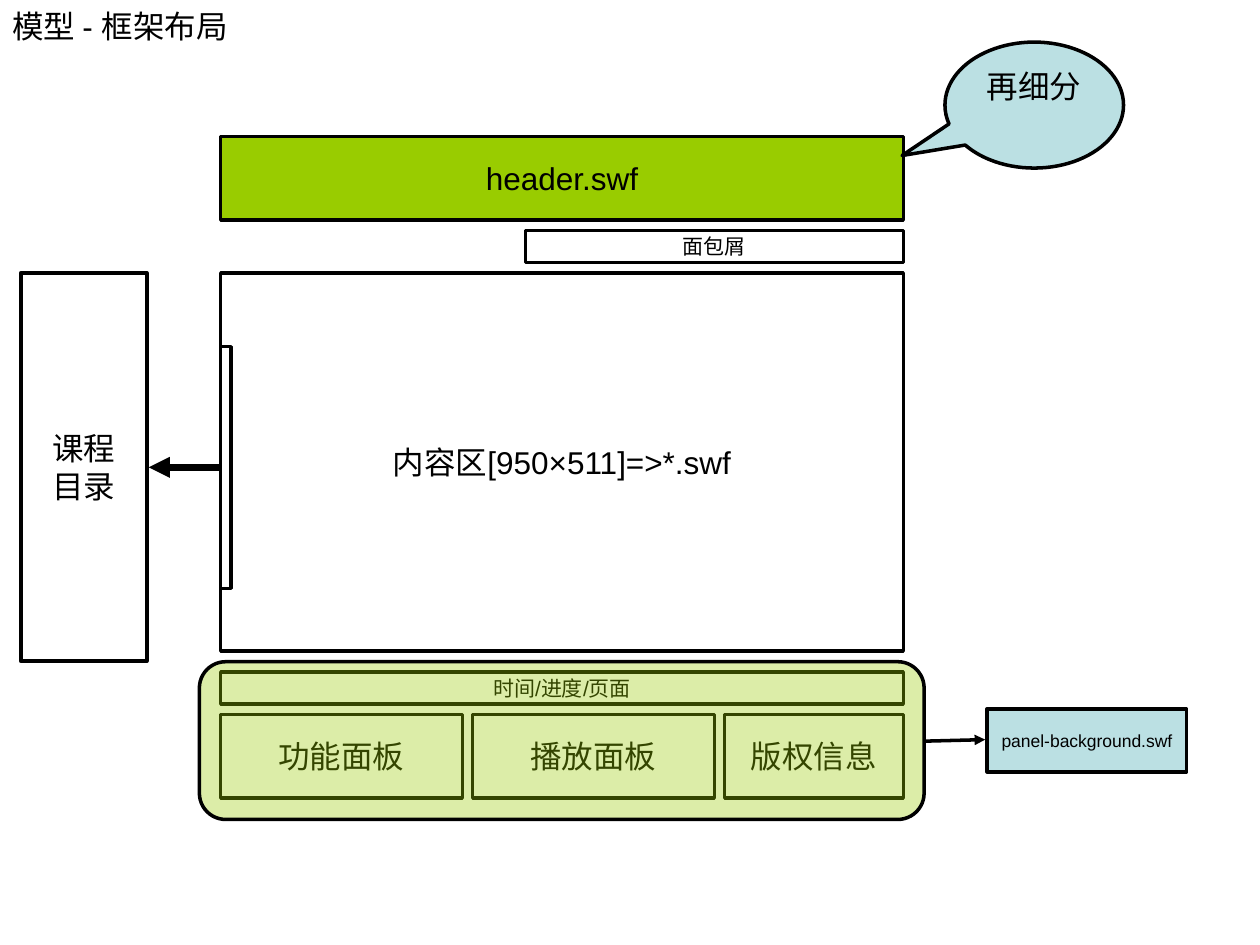
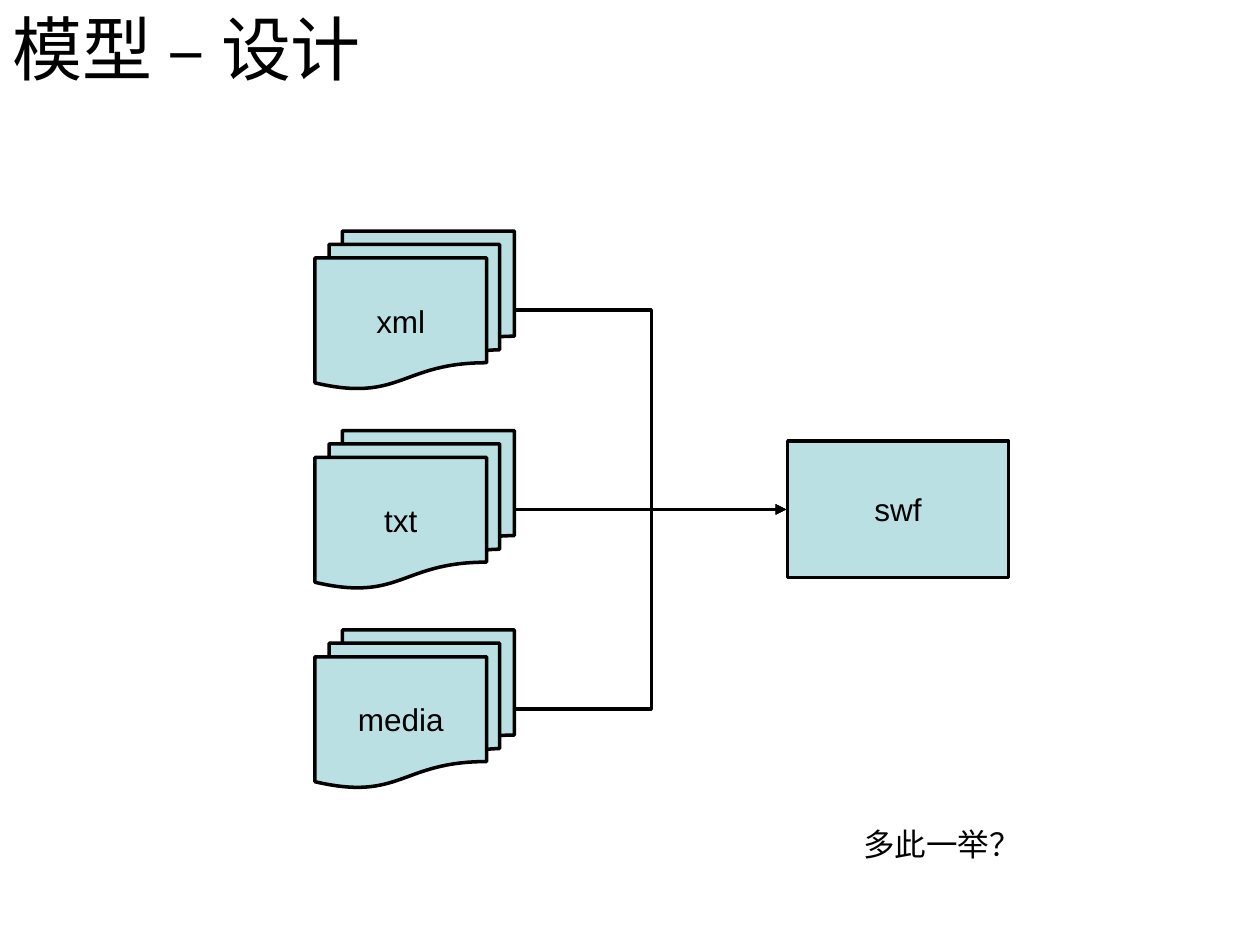
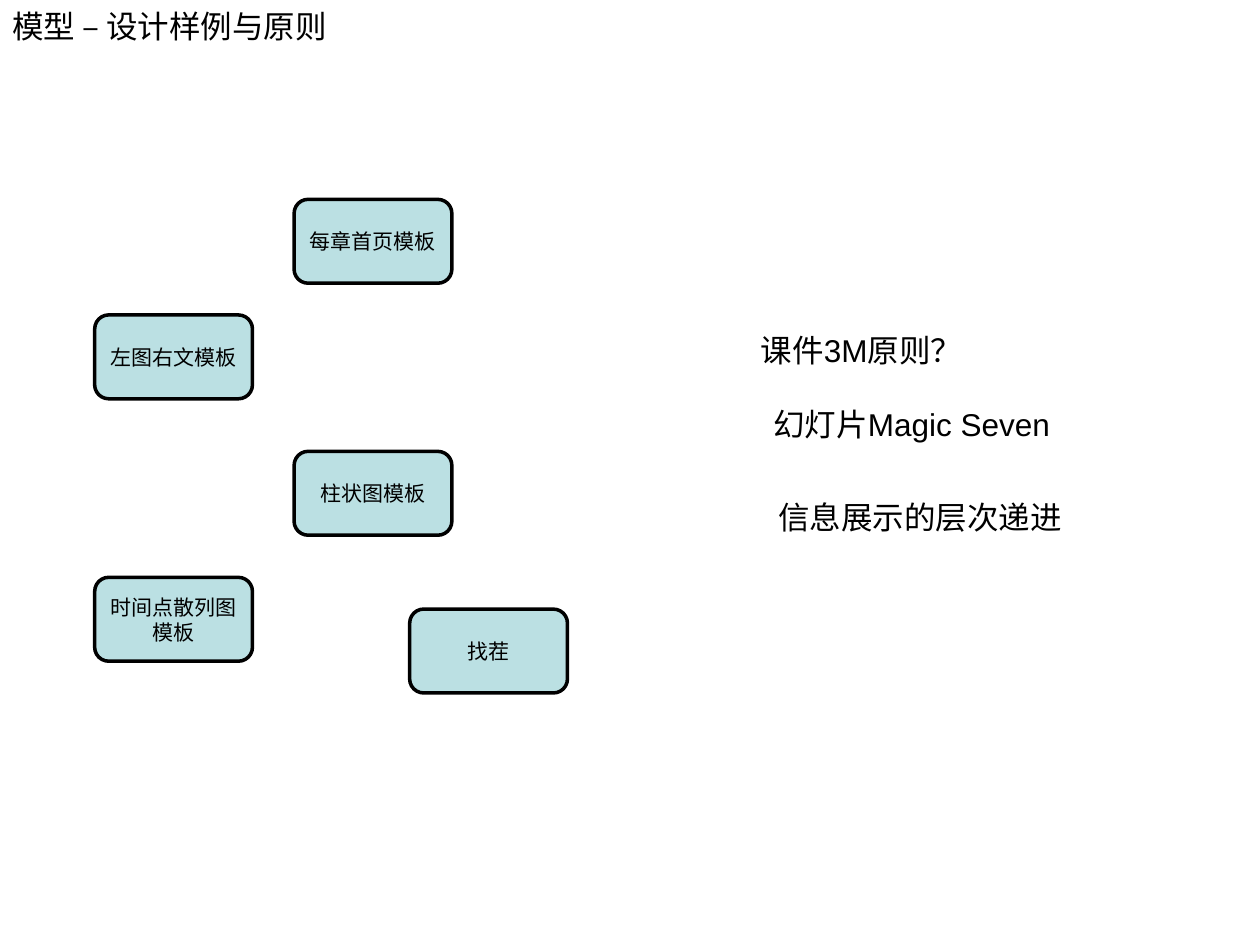
from dataclasses import dataclass
from typing import Optional

from lxml.etree import SubElement
from pptx import Presentation
from pptx.dml.color import RGBColor
from pptx.enum.shapes import MSO_CONNECTOR, MSO_SHAPE
from pptx.enum.text import MSO_ANCHOR, PP_ALIGN
from pptx.oxml.ns import qn
from pptx.util import Cm, Pt

# Shared style
BLACK = RGBColor(0x00, 0x00, 0x00)
WHITE = RGBColor(0xFF, 0xFF, 0xFF)
GREEN = RGBColor(0x99, 0xCC, 0x00)
AQUA = RGBColor(0xBB, 0xE0, 0xE3)
FONT = "Arial"
BODY_SIZE = 18
SMALL_SIZE = 12
LINE_WIDTH = 2

PROCESS = MSO_SHAPE.FLOWCHART_PROCESS
ROUNDED = MSO_SHAPE.FLOWCHART_ALTERNATE_PROCESS
DOCUMENTS = MSO_SHAPE.FLOWCHART_MULTIDOCUMENT
CALLOUT = MSO_SHAPE.OVAL_CALLOUT


@dataclass
class Box:
    """A filled shape; lengths are in centimetres."""
    left: float
    top: float
    width: float
    height: float
    text: str = ""
    fill: RGBColor = WHITE
    size: int = BODY_SIZE
    kind: MSO_SHAPE = PROCESS
    anchor: MSO_ANCHOR = MSO_ANCHOR.MIDDLE
    opacity: Optional[int] = None


@dataclass
class Arrow:
    """A line with a head at its end; lengths are in centimetres."""
    start: tuple[float, float]
    end: tuple[float, float]
    width: float = LINE_WIDTH
    kind: MSO_CONNECTOR = MSO_CONNECTOR.STRAIGHT


def write_text(frame, text: str, *, size: int = BODY_SIZE, wrap: bool = False,
               align: PP_ALIGN = PP_ALIGN.CENTER,
               anchor: MSO_ANCHOR = MSO_ANCHOR.MIDDLE) -> None:
    frame.text = text
    frame.word_wrap = wrap
    frame.vertical_anchor = anchor
    for para in frame.paragraphs:
        para.alignment = align
        for span in para.runs:
            span.font.name = FONT
            span.font.size = Pt(size)
            span.font.color.rgb = BLACK


def draw_box(page, box: Box):
    shape = page.shapes.add_shape(box.kind, Cm(box.left), Cm(box.top),
                                  Cm(box.width), Cm(box.height))
    shape.shadow.inherit = False
    shape.fill.solid()
    shape.fill.fore_color.rgb = box.fill
    shape.line.color.rgb = BLACK
    shape.line.width = Pt(LINE_WIDTH)
    if box.opacity is not None:
        color = shape._element.spPr.find(f"{qn('a:solidFill')}/{qn('a:srgbClr')}")
        SubElement(color, qn("a:alpha"), val=str(box.opacity * 1000))
    if box.text:
        write_text(shape.text_frame, box.text, size=box.size, anchor=box.anchor)
    return shape


def draw_arrow(page, arrow: Arrow) -> None:
    points = [Cm(length) for length in (*arrow.start, *arrow.end)]
    connector = page.shapes.add_connector(arrow.kind, *points)
    connector.line.color.rgb = BLACK
    connector.line.width = Pt(arrow.width)
    properties = connector._element.spPr
    SubElement(properties.find(qn("a:ln")), qn("a:tailEnd"), type="triangle")
    SubElement(properties, qn("a:effectLst"))


def draw_label(page, left: float, top: float, width: float, height: float,
               text: str, **text_format) -> None:
    label = page.shapes.add_textbox(Cm(left), Cm(top), Cm(width), Cm(height))
    write_text(label.text_frame, text, **text_format)


def add_page(deck, title: str, *, size: int = BODY_SIZE, height: float = 1.06):
    page = deck.slides.add_slide(deck.slide_layouts[6])
    draw_label(page, 0, 0, 22.86, height, title, size=size, wrap=True,
               align=PP_ALIGN.LEFT)
    return page


def build_frame_layout(deck) -> None:
    page = add_page(deck, "模型 - 框架布局")
    gap, left, width = 0.21, 4.45, 13.76
    tall, thin = 1.69, 0.64
    crumb_width = 7.62
    content_top, content_height = 5.5, 7.62
    bar_top = 13.55

    # Header, breadcrumb, content and progress bar
    for box in (
        Box(left, 2.75, width, tall, "header.swf", fill=GREEN),
        Box(left + width - crumb_width, 4.65, crumb_width, thin, "面包屑",
            size=SMALL_SIZE),
        Box(left, content_top, width, content_height, "内容区[950×511]=>*.swf"),
        Box(left, bar_top, width, thin, "时间/进度/页面", size=SMALL_SIZE),
    ):
        draw_box(page, box)

    # Row of panels below the progress bar
    panel_left = left
    for text, panel_width in (("功能面板", 4.87), ("播放面板", 4.87), ("版权信息", 3.6)):
        draw_box(page, Box(panel_left, bar_top + thin + gap, panel_width, tall, text))
        panel_left += panel_width + gap

    # Course directory that slides out of the content area
    draw_box(page, Box(0.42, content_top, 2.54, 7.83, "课程\n目录"))
    draw_box(page, Box(left, 6.99, gap, 4.87))
    draw_arrow(page, Arrow((4.42, 9.42), (3, 9.42), width=4))

    # Panel background and its file
    draw_box(page, Box(4.02, 13.34, 14.61, 3.18, fill=GREEN, kind=ROUNDED, opacity=34))
    draw_box(page, Box(19.9, 14.29, 4.02, 1.27, "panel-background.swf",
                       fill=AQUA, size=10))
    draw_arrow(page, Arrow((18.67, 14.94), (19.86, 14.91)))

    # Remark on the header
    callout = draw_box(page, Box(19.05, 0.85, 3.6, 2.54, "再细分", fill=AQUA,
                                 kind=CALLOUT, anchor=MSO_ANCHOR.TOP))
    callout.text_frame.word_wrap = True
    callout.adjustments[0] = -0.74
    callout.adjustments[1] = 0.4


def build_design(deck) -> None:
    page = add_page(deck, "模型 – 设计", size=40, height=1.91)
    pitch = 4.02
    target = (15.85, 10.27)

    draw_box(page, Box(15.88, 8.89, 4.45, 2.75, "swf", fill=AQUA))

    # Sources, each joined to the target
    for row, text in enumerate(("xml", "txt", "media")):
        draw_box(page, Box(6.35, 4.66 + row * pitch, 4.02, 3.18, text,
                           fill=AQUA, kind=DOCUMENTS))
        start = (10.41, target[1] + (row - 1) * pitch)
        level = start[1] == target[1]
        kind = MSO_CONNECTOR.STRAIGHT if level else MSO_CONNECTOR.ELBOW
        draw_arrow(page, Arrow(start, target, kind=kind))

    draw_label(page, 17.15, 16.51, 3.68, 1.02, "多此一举？", anchor=MSO_ANCHOR.TOP)


def build_samples(deck) -> None:
    page = add_page(deck, "模型 – 设计样例与原则")

    # Templates
    for left, top, text in (
        (5.93, 4.02, "每章首页模板"),
        (1.91, 6.35, "左图右文模板"),
        (5.93, 9.1, "柱状图模板"),
        (1.91, 11.64, "时间点散列图\n模板"),
        (8.26, 12.28, "找茬"),
    ):
        draw_box(page, Box(left, top, 3.18, 1.69, text, fill=AQUA,
                           size=SMALL_SIZE, kind=ROUNDED))

    # Principles
    draw_label(page, 15.09, 6.55, 4.85, 1.02, "课件3M原则？", align=PP_ALIGN.LEFT)
    draw_label(page, 15.27, 8.05, 6.22, 1.02, "幻灯片Magic Seven",
               anchor=MSO_ANCHOR.TOP)
    draw_label(page, 15.44, 9.91, 6.22, 1.02, "信息展示的层次递进",
               anchor=MSO_ANCHOR.TOP)


def main() -> None:
    deck = Presentation()
    deck.slide_width, deck.slide_height = Cm(25.4), Cm(19.05)
    build_frame_layout(deck)
    build_design(deck)
    build_samples(deck)
    deck.save("out.pptx")


if __name__ == "__main__":
    main()
